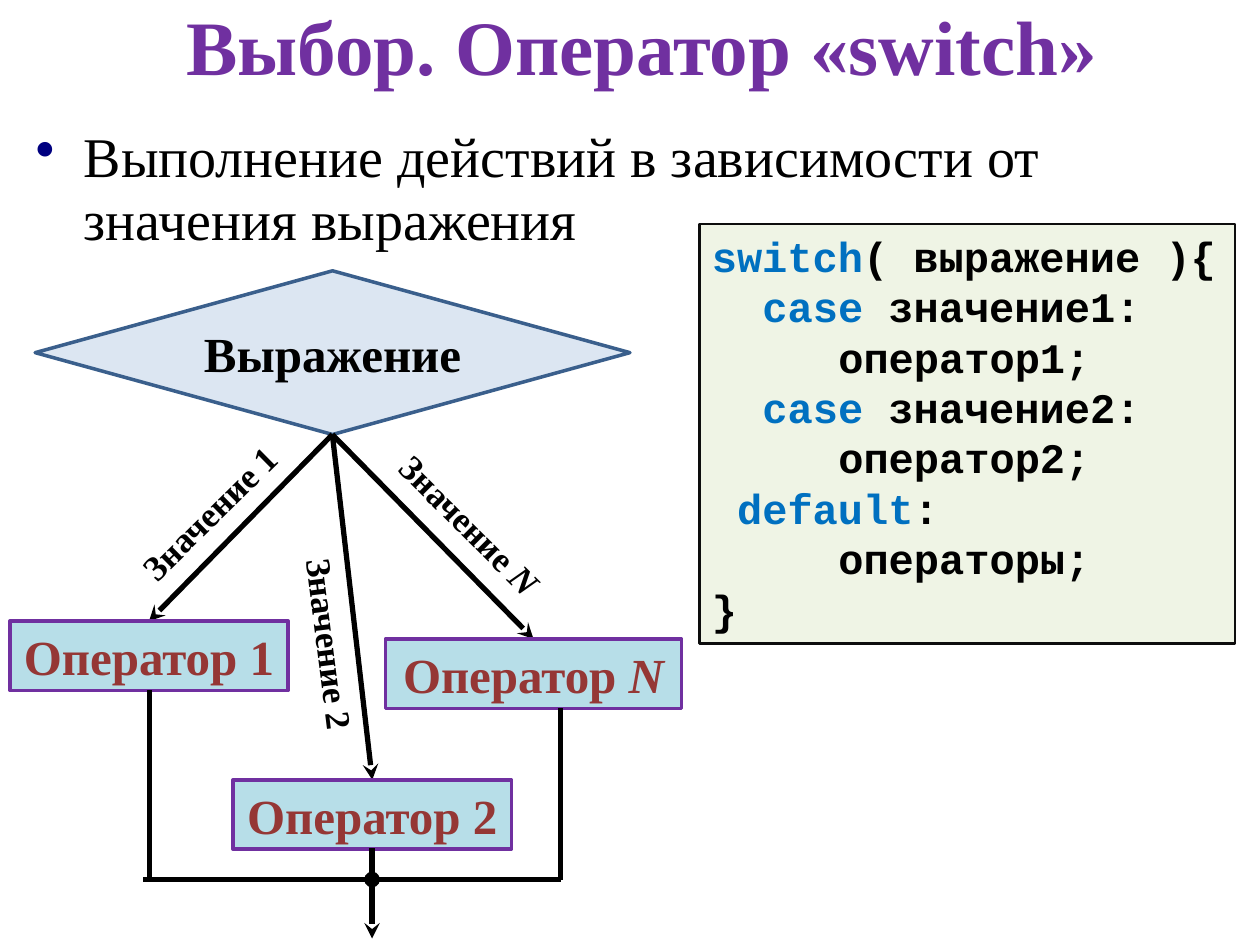
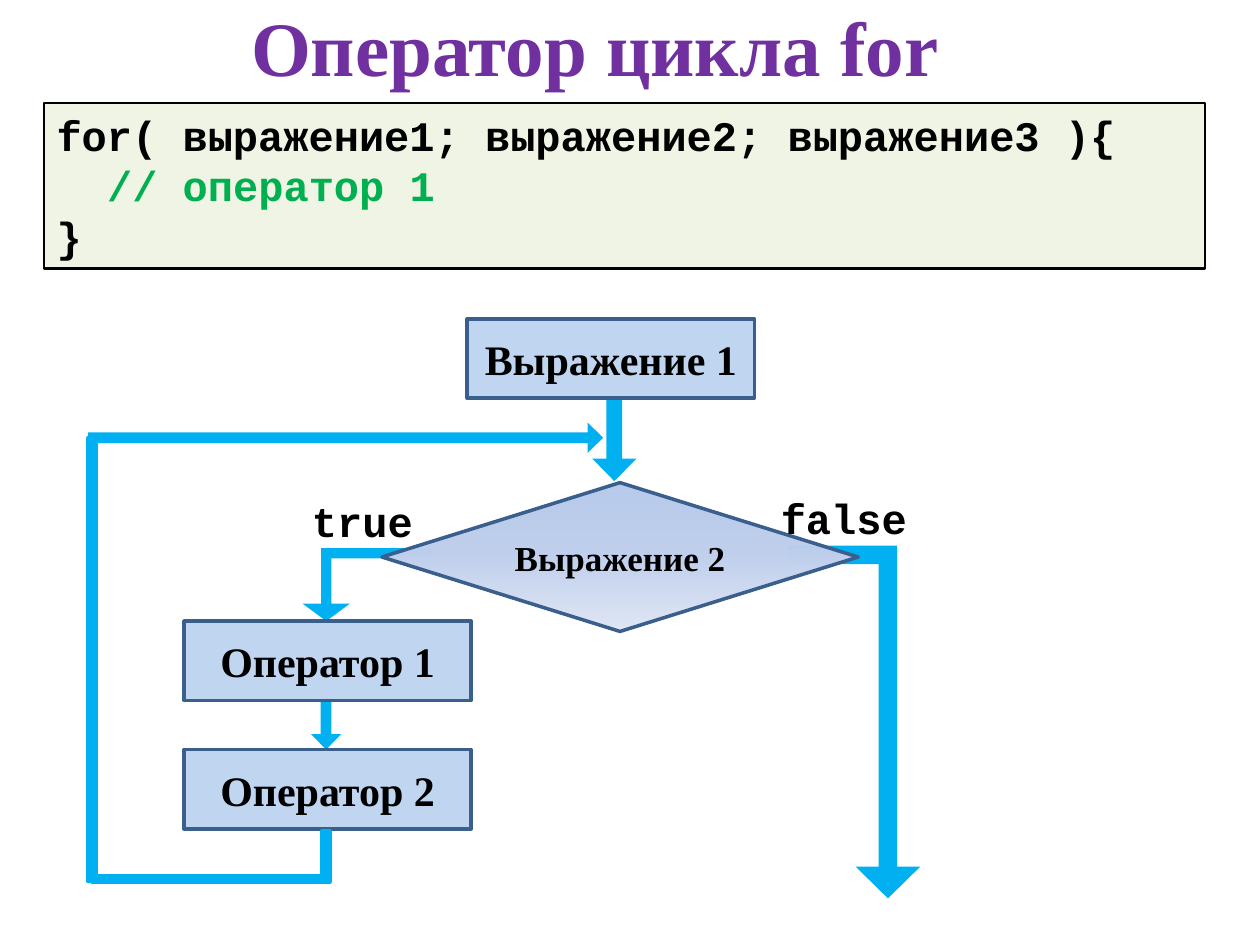
from copy import deepcopy

from lxml import etree
from pptx import Presentation
from pptx.dml.color import RGBColor
from pptx.enum import shapes, text
from pptx.oxml.ns import qn
from pptx.util import Cm, Pt

COLORS = {
    "title": "7030A0", "ink": "000000", "bullet": "000080",
    "keyword": "0070C0", "comment": "00B050",
    "code_fill": "D7E4BD", "code_line": "0D0D0D",
    "choice_fill": "DCE6F2", "outline": "3A5F8C",
    "operator_fill": "B7DEE8", "operator_text": "953735",
    "step_fill": "8EB4E3", "arrow": "00B0F0",
    "fade_top": "ABC1E9", "fade_middle": "C2D1ED", "fade_bottom": "E1E8F5",
}
SERIF, MONO = "Times New Roman", "Courier New"
SHAPE = shapes.MSO_SHAPE
CENTER = text.PP_ALIGN.CENTER
MIDDLE = text.MSO_ANCHOR.MIDDLE
CODE_STEP = 0.51  # width of one code character, cm


def rgb(name):
    return RGBColor.from_string(COLORS[name])


def place(box, x, y, w, h):
    """Turn a position inside the box into a position on the slide."""
    return Cm(box[0] + x), Cm(box[1] + y), Cm(w), Cm(h)


def set_alpha(fill_element, percent):
    color = fill_element.find(qn("a:srgbClr"))
    etree.SubElement(color, qn("a:alpha")).set("val", str(percent * 1000))


def set_font(paragraph, size, color="ink", face=SERIF, bold=True):
    font = paragraph.font
    font.name, font.size, font.bold = face, Pt(size), bold
    font.color.rgb = rgb(color)


def set_indent(paragraph, left, first=0):
    props = paragraph._p.get_or_add_pPr()
    props.set("marL", str(Cm(left)))
    props.set("indent", str(Cm(first)))


def write(paragraph, words):
    """Fill a paragraph; a trailing N is a variable and stands in italics."""
    stem = words.removesuffix("N")
    paragraph.add_run().text = stem
    if stem != words:
        variable = paragraph.add_run()
        variable.text, variable.font.italic = "N", True


def add_figure(slide, kind, area, fill, line=None, width=2, alpha=None):
    figure = slide.shapes.add_shape(kind, *area)
    figure.shadow.inherit = False
    figure.fill.solid()
    figure.fill.fore_color.rgb = rgb(fill)
    if alpha:
        set_alpha(figure._element.spPr.find(qn("a:solidFill")), alpha)
    if line:
        figure.line.color.rgb = rgb(line)
        figure.line.width = Pt(width)
    else:
        figure.line.fill.background()
    return figure


def add_node(slide, kind, area, words, size, fill, line, color="ink", alpha=None):
    node = add_figure(slide, kind, area, fill, line, alpha=alpha)
    frame = node.text_frame
    frame.margin_left = frame.margin_right = 0
    frame.vertical_anchor = MIDDLE
    paragraph = frame.paragraphs[0]
    paragraph.alignment = CENTER
    set_font(paragraph, size, color)
    write(paragraph, words)
    return node


def add_text(slide, area, words, size, face=SERIF, bold=True):
    holder = slide.shapes.add_textbox(*area)
    frame = holder.text_frame
    frame.word_wrap = True
    frame.margin_top, frame.margin_bottom = Cm(0.2), Cm(0.13)
    paragraph = frame.paragraphs[0]
    set_font(paragraph, size, face=face, bold=bold)
    set_indent(paragraph, 0.3)
    write(paragraph, words)
    return holder, paragraph


def add_title(slide, box, words):
    title = slide.shapes.add_textbox(*place(box, 0, 0, *box[2:]))
    frame = title.text_frame
    frame.word_wrap = True
    frame.vertical_anchor = MIDDLE
    paragraph = frame.paragraphs[0]
    paragraph.text, paragraph.alignment = words, CENTER
    set_font(paragraph, 44, "title")


def add_code(slide, box, lines, line="ink"):
    """Each line is (indent in characters, [(words, colour), ...])."""
    panel = add_figure(slide, SHAPE.RECTANGLE, place(box, 0, 0, *box[2:]),
                       "code_fill", line, 1.5, alpha=39)
    frame = panel.text_frame
    frame.vertical_anchor = text.MSO_ANCHOR.TOP
    for number, (indent, parts) in enumerate(lines):
        paragraph = frame.add_paragraph() if number else frame.paragraphs[0]
        paragraph.alignment = text.PP_ALIGN.LEFT
        set_font(paragraph, 24, face=MONO)
        set_indent(paragraph, indent * CODE_STEP)
        for words, color in parts:
            run = paragraph.add_run()
            run.text = words
            run.font.color.rgb = rgb(color)


def add_bullet(slide, box, words):
    _, paragraph = add_text(slide, place(box, 0, 0, *box[2:]), words, 32, bold=False)
    paragraph.line_spacing = 0.95
    set_indent(paragraph, 1.24, -0.97)
    props = paragraph._p.get_or_add_pPr()
    bullet_color = etree.Element(qn("a:buClr"))
    etree.SubElement(bullet_color, qn("a:srgbClr")).set("val", COLORS["bullet"])
    bullet = etree.Element(qn("a:buChar"))
    bullet.set("char", "•")
    spacing = props.find(qn("a:lnSpc"))
    spacing.addnext(bullet_color)
    bullet_color.addnext(bullet)


def add_line(slide, box, start, end, head=None, tail=None):
    ends = [Cm(box[i] + point[i]) for point in (start, end) for i in (0, 1)]
    line = slide.shapes.add_connector(shapes.MSO_CONNECTOR.STRAIGHT, *ends)
    line.line.color.rgb = rgb("ink")
    line.line.width = Pt(3)
    for tag, kind in (("a:headEnd", head), ("a:tailEnd", tail)):
        if kind:
            etree.SubElement(line.line._get_or_add_ln(), qn(tag)).set("type", kind)
    etree.SubElement(line._element.spPr, qn("a:effectLst"))


def draw_switch_flow(slide, box):
    # Condition
    add_node(slide, SHAPE.DIAMOND, place(box, 0.51, 0, 11.99, 3.3), "Выражение",
             28, "choice_fill", "outline")
    fork = (6.5, 3.3)

    # Branches: operator name, left, top, width; label centre, width, angle
    height = 1.4
    branches = [
        ("2", 4.5, 10.26, 5.61, (6.51, 7.41), 4.37, 82.8),
        ("1", 0, 7.06, 5.61, (3.89, 4.9), 4.37, 315.3),
        ("N", 7.57, 7.42, 5.97, (9.25, 5), 4.52, 45),
    ]
    for name, x, y, width, (label_x, label_y), label_width, angle in branches:
        add_line(slide, box, fork, (x + width / 2, y), tail="stealth")
        add_node(slide, SHAPE.RECTANGLE, place(box, x, y, width, height),
                 f"Оператор {name}", 28, "operator_fill", "title", "operator_text")
        area = place(box, label_x - label_width / 2, label_y - 0.5, label_width, 1)
        label, paragraph = add_text(slide, area, f"Значение {name}", 20)
        paragraph.line_spacing = 0.95
        label.rotation = angle

    # Merge into one exit
    left, middle, right, merge = 2.81, 7.3, 11.1, 12.27
    add_line(slide, box, (middle, 11.64), (middle, 13.46), tail="stealth")
    add_line(slide, box, (left, 7.06 + height), (left, merge))
    add_line(slide, box, (right, 7.42 + height), (right, merge))
    add_line(slide, box, (middle, merge), (left - 0.12, merge), head="oval")
    add_line(slide, box, (right, merge), (middle, merge))


def fade(figure):
    """Fill with a vertical three-stop gradient."""
    figure.fill.gradient()
    stop_list = figure._element.spPr.find(qn("a:gradFill")).find(qn("a:gsLst"))
    stop_list.append(deepcopy(stop_list[-1]))
    steps = [(0, "fade_top"), (0.52, "fade_middle"), (1, "fade_bottom")]
    for stop, (position, color) in zip(figure.fill.gradient_stops, steps):
        stop.position = position
        stop.color.rgb = rgb(color)
    set_alpha(stop_list[0], 83)
    figure.fill.gradient_angle = 270


def draw_for_flow(slide, box):
    def arrow(kind, area, *adjustments):
        figure = add_figure(slide, kind, place(box, *area), "arrow")
        for i, value in enumerate(adjustments):
            figure.adjustments[i] = value
        return figure

    straight = (0.357, 0.51)
    arrow(SHAPE.DOWN_ARROW, (4.42, 7.69, 0.61, 0.99), *straight)

    # Branches leaving the condition
    exit_arrow = arrow(SHAPE.BENT_UP_ARROW, (14.03, 4.57, 2.67, 7.11), 0.139, 0.243, 0.239)
    exit_arrow._element.spPr.find(qn("a:xfrm")).set("flipH", "1")
    body_arrow = arrow(SHAPE.BENT_UP_ARROW, (4.25, 4.62, 2.62, 1.47), 0.139, 0.324, 0.239)
    exit_arrow.rotation = body_arrow.rotation = 180

    # Condition
    fade(add_node(slide, SHAPE.DIAMOND, place(box, 5.85, 3.3, 9.6, 3), "Выражение 2",
                  20, "fade_middle", "outline"))
    arrow(SHAPE.DOWN_ARROW, (10.09, 1.62, 0.89, 1.65), *straight)
    for answer, x, y, width in (("true", 3.89, 3.35, 3.1), ("false", 13.34, 3.3, 3.58)):
        _, paragraph = add_text(slide, place(box, x, y, width, 1.24), answer, 24, MONO)
        paragraph.alignment = text.PP_ALIGN.JUSTIFY
        paragraph.space_after = Pt(8.5)

    # Steps
    for step, x, y in (("Оператор 2", 1.86, 8.68), ("Оператор 1", 1.86, 6.09),
                       ("Выражение 1", 7.57, 0)):
        add_node(slide, SHAPE.RECTANGLE, place(box, x, y, 5.79, 1.6), step, 24,
                 "step_fill", "outline", alpha=55)

    # Way back to the condition
    arrow(SHAPE.RIGHT_ARROW, (-0.08, 2.09, 10.39, 0.61), *straight)
    for bar in ((4.63, 10.31, 0.18, 1.04), (-0.08, 2.4, 0.18, 8.94), (0, 11.22, 4.72, 0.13)):
        add_figure(slide, SHAPE.RECTANGLE, place(box, *bar), "arrow", "arrow")


def build_switch_slide(slide):
    add_title(slide, (0, 0, 25.9, 1.8), "Выбор. Оператор «switch»")
    add_code(slide, (14.1, 4.52, 10.8, 8.46), [
        (0, [("switch", "keyword"), ("( выражение ){", "ink")]),
        (2, [("case ", "keyword"), ("значение1:", "ink")]),
        (5, [("оператор1;", "ink")]),
        (2, [("case ", "keyword"), ("значение2:", "ink")]),
        (5, [("оператор2;", "ink")]),
        (1, [("default", "keyword"), (":", "ink")]),
        (5, [("операторы;", "ink")]),
        (0, [("}", "ink")]),
    ], "code_line")
    add_bullet(slide, (0.2, 2.34, 21.1, 3.2),
               "Выполнение действий в зависимости от значения выражения")
    draw_switch_flow(slide, (0.2, 5.46))


def build_for_slide(slide):
    add_title(slide, (1.5, 0.03, 21, 1.8), "Оператор цикла for")
    add_code(slide, (0.89, 2.08, 23.4, 3.33), [
        (0, [("for( выражение1; выражение2; выражение3 ){", "ink")]),
        (2, [("// оператор 1", "comment")]),
        (0, [("}", "ink")]),
    ])
    draw_for_flow(slide, (1.85, 6.43))


def main():
    deck = Presentation()
    deck.slide_width, deck.slide_height = Cm(25.4), Cm(19.05)
    for build in (build_switch_slide, build_for_slide):
        build(deck.slides.add_slide(deck.slide_layouts[6]))
    deck.save("out.pptx")


if __name__ == "__main__":
    main()
